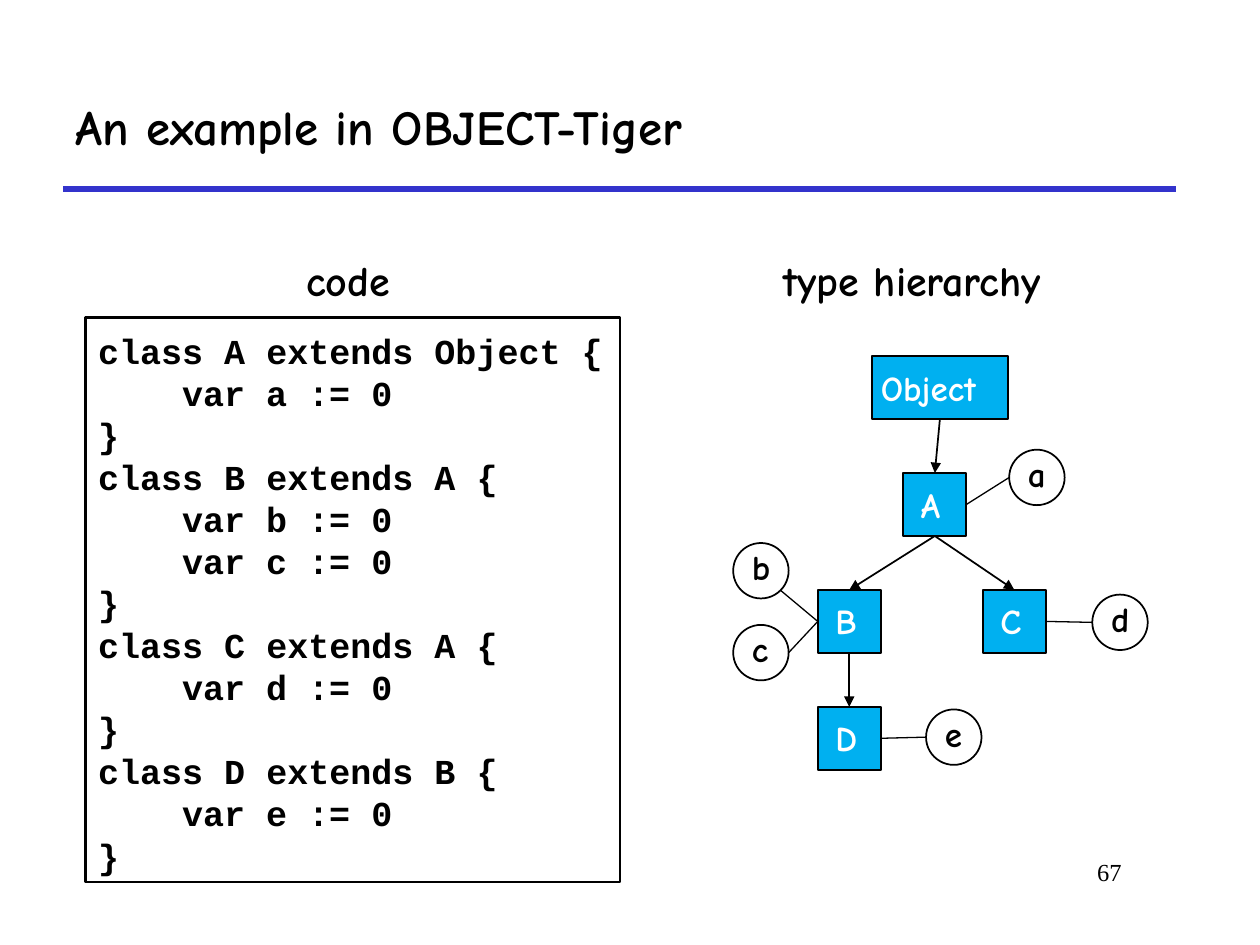
from pptx import Presentation
from pptx.util import Pt
from pptx.dml.color import RGBColor
from pptx.enum.shapes import MSO_CONNECTOR, MSO_SHAPE
from pptx.enum.text import MSO_ANCHOR, PP_ALIGN
from pptx.oxml.ns import qn
from lxml import etree

BLACK = RGBColor(0, 0, 0)
WHITE = RGBColor(255, 255, 255)
BLUE = RGBColor(0x33, 0x33, 0xCC)
CYAN = RGBColor(0, 0xB0, 0xF0)
COMIC, MONO, SERIF = "Comic Neue", "Courier New", "Times New Roman"
RECT, OVAL = MSO_SHAPE.RECTANGLE, MSO_SHAPE.OVAL
STRAIGHT = MSO_CONNECTOR.STRAIGHT
TOP, MID, LOW = MSO_ANCHOR.TOP, MSO_ANCHOR.MIDDLE, MSO_ANCHOR.BOTTOM
LEFT, RIGHT = PP_ALIGN.LEFT, PP_ALIGN.RIGHT
NORTH, WEST, SOUTH, EAST = range(4)

CODE = [
    (0, "class A extends Object {"), (1, "var a := 0"), (0, "}"),
    (0, "class B extends A {"), (1, "var b := 0"), (1, "var c := 0"), (0, "}"),
    (0, "class C extends A {"), (1, "var d := 0"), (0, "}"),
    (0, "class D extends B {"), (1, "var e := 0"), (0, "}"),
]
INDENT = Pt(48)

STEP = 66.8
SIDE, DOT = 36, 31.7
NODES = [("Object", 79.2, 0), ("A", 97.2, 1), ("B", 48.3, 2),
         ("C", 142.6, 2), ("D", 48.3, 3)]
EDGES = ["Object A", "A B", "A C", "B D"]
FIELDS = [
    ("a", 157.7, 53.5, "A", EAST, (0, 0.5)),
    ("b", 0, 106.8, "B", WEST, (0.85, 0.85)),
    ("c", 0, 153.6, "B", WEST, (1, 0.5)),
    ("d", 205.2, 136.3, "C", EAST, (0, 0.5)),
    ("e", 110.2, 201.9, "D", EAST, (0, 0.5)),
]


def style(par, name, size, color=BLACK, bold=True, align=LEFT):
    font = par.font
    font.name, font.size, font.bold = name, Pt(size), bold
    font.color.rgb = color
    par.alignment = align


def label(slide, text, box, size, color=BLACK):
    frame = slide.shapes.add_textbox(*map(Pt, box)).text_frame
    frame.word_wrap = False
    frame.vertical_anchor = LOW
    frame.text = text
    style(frame.paragraphs[0], COMIC, size, color)


def block(slide, kind, box, fill=None, width=1):
    shape = slide.shapes.add_shape(kind, *map(Pt, box))
    shape.shadow.inherit = False
    if fill is None:
        shape.fill.background()
    else:
        shape.fill.solid()
        shape.fill.fore_color.rgb = fill
    shape.line.color.rgb = BLACK
    shape.line.width = Pt(width)
    return shape


def link(slide, ends, width, color=BLACK, arrow=False):
    line = slide.shapes.add_connector(STRAIGHT, *map(Pt, ends))
    line.line.color.rgb = color
    line.line.width = Pt(width)
    if arrow:
        tip = etree.SubElement(line.line._get_or_add_ln(), qn("a:tailEnd"))
        tip.set("type", "triangle")
    etree.SubElement(line._element.spPr, qn("a:effectLst"))
    return line


def header(slide, box):
    left, top, width, height = box
    title = slide.shapes.title
    title.left, title.top, title.width, title.height = map(Pt, box)
    frame = title.text_frame
    frame.vertical_anchor = MID
    frame.text = "An example in OBJECT-Tiger"
    style(frame.paragraphs[0], COMIC, 28)
    base = top + height
    link(slide, (left, base, left + width, base), 3, BLUE)


def listing(slide, box):
    left, top, width, height = box
    label(slide, "code", (left + 118.8, top - 40.3, 67.7, 36.7), 24)
    frame = block(slide, RECT, box, width=1.5).text_frame
    frame.word_wrap = False
    frame.vertical_anchor = LOW
    for i, (level, text) in enumerate(CODE):
        par = frame.add_paragraph() if i else frame.paragraphs[0]
        par.text = text
        par.line_spacing = Pt(24)
        style(par, MONO, 20)
        if level:
            par._p.get_or_add_pPr().set("marL", str(level * INDENT))


def tree(slide, box):
    left, top = box[:2]
    label(slide, "type hierarchy", (left + 21.6, top - 62.4, 180.7, 36.7), 24)
    nodes = {}
    for name, x, row in NODES:
        x, y = left + x, top + row * STEP
        root = row == 0
        wide = 77.8 if root else SIDE
        nodes[name] = block(slide, RECT, (x, y, wide, SIDE), CYAN)
        shift, span = (-2, 82) if root else (3, 28.5)
        label(slide, name, (x + shift, y + 1.6, span, DOT), 20, WHITE)
    for edge in EDGES:
        start, end = edge.split()
        line = link(slide, (0, 0, 0, 0), 1, arrow=True)
        line.begin_connect(nodes[start], SOUTH)
        line.end_connect(nodes[end], NORTH)
    for name, x, y, owner, side, (fx, fy) in FIELDS:
        x, y = left + x, top + y
        block(slide, OVAL, (x, y, DOT, DOT), WHITE)
        label(slide, name, (x + 3.6, y - 2.5, 26, DOT), 20)
        ends = (0, 0, x + fx * DOT, y + fy * DOT)
        link(slide, ends, 0.75).begin_connect(nodes[owner], side)


def footer(slide, box):
    frame = slide.shapes.add_textbox(*map(Pt, box)).text_frame
    frame.word_wrap = True
    frame.vertical_anchor = TOP
    frame.text = "67"
    style(frame.paragraphs[0], SERIF, 14, bold=False, align=RIGHT)


def main():
    deck = Presentation()
    deck.slide_width, deck.slide_height = Pt(720), Pt(540)
    slide = deck.slides.add_slide(deck.slide_layouts[5])
    header(slide, (36, 36, 636, 72))
    listing(slide, (49, 181.5, 305.3, 322.6))
    tree(slide, (419, 203.5, 237, 236.4))
    footer(slide, (545.8, 486, 102.2, 36))
    deck.save("out.pptx")


if __name__ == "__main__":
    main()
